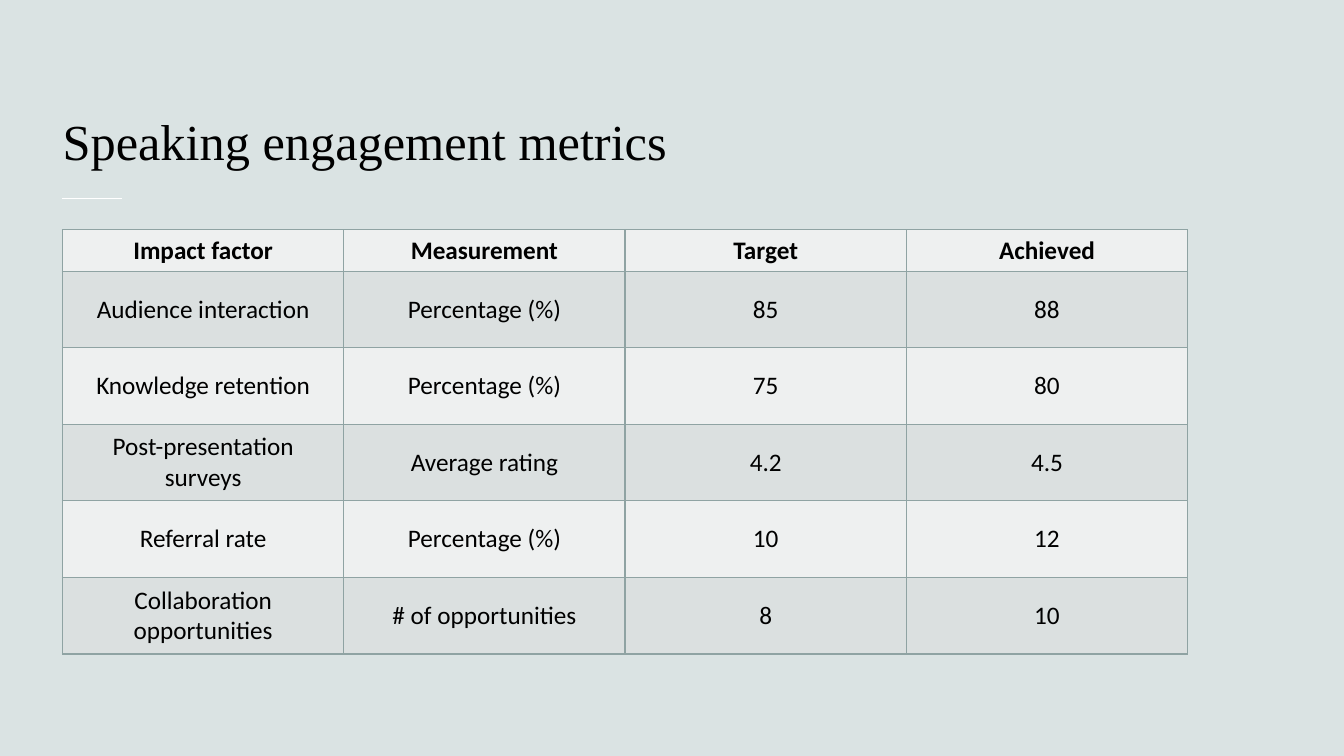
from dataclasses import dataclass

from lxml import etree
from pptx import Presentation
from pptx.dml.color import RGBColor
from pptx.enum.shapes import MSO_CONNECTOR
from pptx.enum.text import MSO_ANCHOR as Anchor, PP_ALIGN as Align
from pptx.oxml.ns import qn
from pptx.slide import Slide
from pptx.table import _Cell as Cell
from pptx.util import Inches, Pt


@dataclass(frozen=True)
class Theme:
    background: str = "DAE3E3"
    text: str = "000000"
    rule: str = "FFFFFF"
    border: str = "8FA3A3"
    bands: tuple[str, str] = ("EEF0F0", "DBE0E0")
    title_font: str = "Times New Roman"
    body_font: str = "Calibri"
    title_size: int = 36
    body_size: int = 18
    line_width: int = 1


@dataclass(frozen=True)
class Metric:
    factor: str
    measurement: str
    target: str
    achieved: str

    def values(self) -> tuple[str, ...]:
        return self.factor, self.measurement, self.target, self.achieved


THEME = Theme()
LEFT = 0.62
COLUMN_WIDTH = 2.79
HEADER_HEIGHT = 0.41
ROW_HEIGHT = 0.76
METRICS = [
    Metric("Impact factor", "Measurement", "Target", "Achieved"),
    Metric("Audience interaction", "Percentage (%)", "85", "88"),
    Metric("Knowledge retention", "Percentage (%)", "75", "80"),
    Metric("Post-presentation surveys", "Average rating", "4.2", "4.5"),
    Metric("Referral rate", "Percentage (%)", "10", "12"),
    Metric("Collaboration opportunities", "# of opportunities", "8", "10"),
]


def rgb(value: str) -> RGBColor:
    return RGBColor.from_string(value)


def add_title(s: Slide, text: str) -> None:
    tf = s.shapes.add_textbox(
        Inches(LEFT), Inches(0.44), Inches(12.08), Inches(1.3)
    ).text_frame
    tf.word_wrap = True
    tf.vertical_anchor = Anchor.BOTTOM
    tf.margin_left = 0
    p = tf.paragraphs[0]
    p.text = text
    p.font.name = THEME.title_font
    p.font.size = Pt(THEME.title_size)
    p.font.color.rgb = rgb(THEME.text)


def add_rule(s: Slide) -> None:
    y = Inches(1.97)
    rule = s.shapes.add_connector(
        MSO_CONNECTOR.STRAIGHT, Inches(LEFT), y, Inches(1.21), y
    )
    rule.line.color.rgb = rgb(THEME.rule)
    rule.line.width = Pt(THEME.line_width)
    etree.SubElement(rule._element.spPr, qn("a:effectLst"))


def add_borders(cell: Cell) -> None:
    tc_pr = cell._tc.get_or_add_tcPr()
    for position, side in enumerate(("lnL", "lnR", "lnT", "lnB")):
        ln = etree.Element(qn(f"a:{side}"), w=str(Pt(THEME.line_width)))
        fill = etree.SubElement(ln, qn("a:solidFill"))
        etree.SubElement(fill, qn("a:srgbClr"), val=THEME.border)
        tc_pr.insert(position, ln)


def fill_cell(cell: Cell, text: str, band: str, bold: bool) -> None:
    cell.fill.solid()
    cell.fill.fore_color.rgb = rgb(band)
    cell.vertical_anchor = Anchor.MIDDLE
    p = cell.text_frame.paragraphs[0]
    p.text = text
    p.alignment = Align.CENTER
    p.font.name = THEME.body_font
    p.font.size = Pt(THEME.body_size)
    p.font.bold = bold
    p.font.color.rgb = rgb(THEME.text)
    add_borders(cell)


def add_metrics_table(s: Slide, metrics: list[Metric]) -> None:
    columns = len(metrics[0].values())
    height = HEADER_HEIGHT + ROW_HEIGHT * (len(metrics) - 1)
    table = s.shapes.add_table(
        len(metrics), columns, Inches(LEFT), Inches(2.28),
        Inches(COLUMN_WIDTH * columns), Inches(height),
    ).table
    for i, metric in enumerate(metrics):
        table.rows[i].height = Inches(ROW_HEIGHT if i else HEADER_HEIGHT)
        for j, text in enumerate(metric.values()):
            fill_cell(table.cell(i, j), text, THEME.bands[i % 2], i == 0)


def main() -> None:
    prs = Presentation()
    prs.slide_width, prs.slide_height = Inches(13.33), Inches(7.5)
    s = prs.slides.add_slide(prs.slide_layouts[6])
    s.background.fill.solid()
    s.background.fill.fore_color.rgb = rgb(THEME.background)
    add_rule(s)
    add_title(s, "Speaking engagement metrics")
    add_metrics_table(s, METRICS)
    prs.save("out.pptx")


if __name__ == "__main__":
    main()
